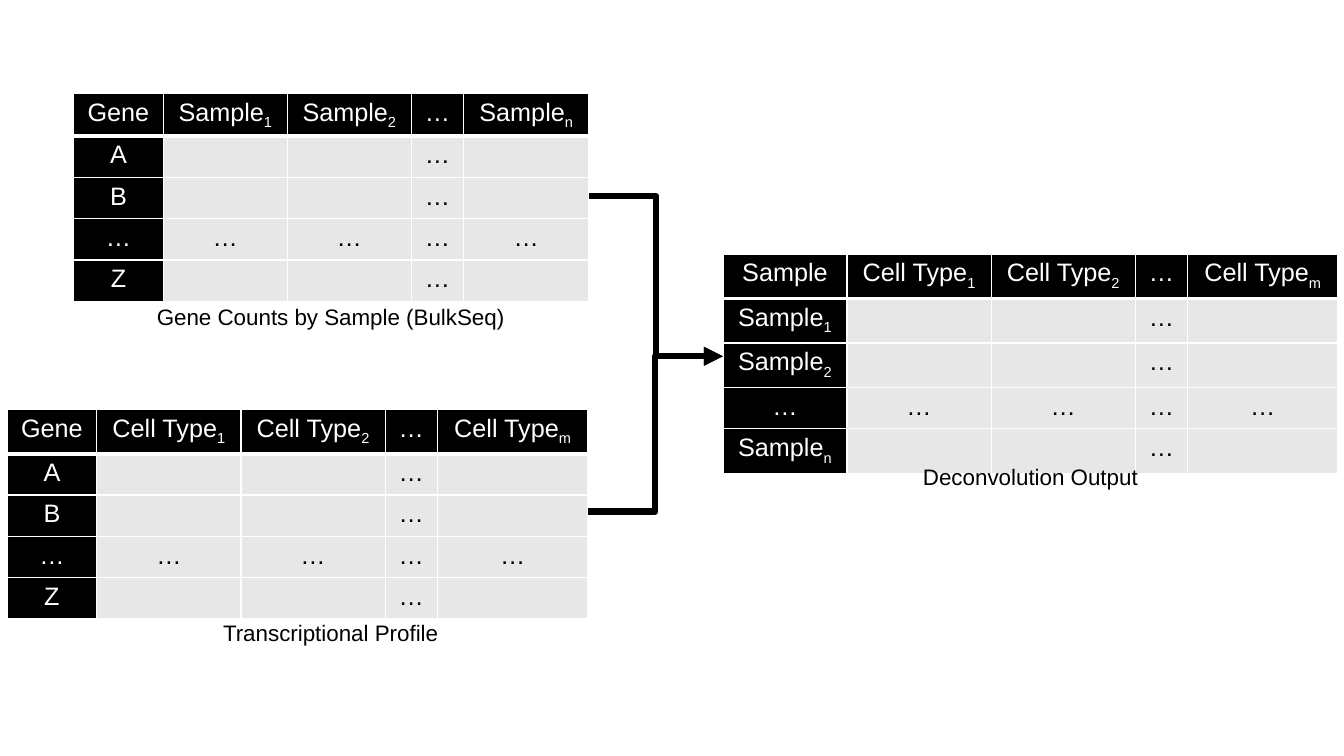
from dataclasses import dataclass

from lxml import etree
from pptx import Presentation
from pptx import util as u
from pptx.dml.color import RGBColor
from pptx.enum import shapes, text
from pptx.oxml import ns


@dataclass(frozen=True)
class Theme:
    font: str = "Arial"
    black: RGBColor = RGBColor(0x00, 0x00, 0x00)
    white: RGBColor = RGBColor(0xFF, 0xFF, 0xFF)
    grey: RGBColor = RGBColor(0xE7, 0xE7, 0xE7)
    cell_size: u.Pt = u.Pt(18)
    caption_size: u.Pt = u.Pt(16)
    arrow_width: u.Pt = u.Pt(4.5)


@dataclass(frozen=True)
class Box:
    left: float
    top: float
    width: float
    height: float

    @property
    def middle(self):
        return self.top + self.height / 2


THEME = Theme()
DOTS = "…"
ROW_HEIGHT = 0.41
MATRIX_HEIGHT = 2.03
CAPTION_HEIGHT = 0.37
GENES = ["A", "B", DOTS, "Z"]


def indexed(name, last):
    return [f"{name}_1", f"{name}_2", DOTS, f"{name}_{last}"]


def write(paragraph, label, size, color):
    paragraph.alignment = text.PP_ALIGN.CENTER
    paragraph.font.name = THEME.font
    paragraph.font.size = size
    name, _, index = label.partition("_")
    for part in filter(None, (name, index)):
        run = paragraph.add_run()
        run.text = part
        run.font.color.rgb = color
    if index:
        run.font._element.set("baseline", "-25000")


def add_header_borders(cell):
    properties = cell._tc.get_or_add_tcPr()
    for position, (side, points) in enumerate(
        [("lnL", 1), ("lnR", 1), ("lnT", 1), ("lnB", 3)]
    ):
        border = etree.Element(ns.qn(f"a:{side}"), w=str(u.Pt(points)))
        fill = etree.SubElement(border, ns.qn("a:solidFill"))
        etree.SubElement(fill, ns.qn("a:srgbClr"), val=str(THEME.white))
        properties.insert(position, border)


def add_matrix(slide, left, top, widths, corner, columns, rows, caption, caption_width):
    box = Box(left, top, sum(widths), MATRIX_HEIGHT)
    matrix = slide.shapes.add_table(
        len(rows) + 1, len(widths),
        *map(u.Inches, (box.left, box.top, box.width, box.height)),
    ).table
    matrix.first_row = False
    matrix.horz_banding = False
    for column, width in zip(matrix.columns, widths):
        column.width = u.Inches(width)

    body = [
        [name] + [DOTS if DOTS in (name, column) else "" for column in columns]
        for name in rows
    ]
    for r, labels in enumerate([[corner] + columns] + body):
        matrix.rows[r].height = u.Inches(ROW_HEIGHT)
        for c, label in enumerate(labels):
            cell = matrix.cell(r, c)
            heading = r == 0 or c == 0
            cell.fill.solid()
            cell.fill.fore_color.rgb = THEME.black if heading else THEME.grey
            color = THEME.white if heading else THEME.black
            write(cell.text_frame.paragraphs[0], label, THEME.cell_size, color)
            if r == 0:
                add_header_borders(cell)

    add_caption(slide, box, caption, caption_width)
    return box


def add_caption(slide, box, caption, width):
    left = box.left + (box.width - width) / 2
    if box.left < 1:
        left = CAPTION_CENTER - width / 2
    frame = slide.shapes.add_textbox(
        *map(u.Inches, (left, box.top + box.height, width, CAPTION_HEIGHT))
    ).text_frame
    frame.word_wrap = False
    frame.auto_size = text.MSO_AUTO_SIZE.SHAPE_TO_FIT_TEXT
    write(frame.paragraphs[0], caption, THEME.caption_size, THEME.black)


CAPTION_CENTER = 3.28


def add_arrow(slide, source, target):
    arrow = slide.shapes.add_connector(
        shapes.MSO_CONNECTOR.ELBOW,
        *map(u.Inches, (source.left + source.width, source.middle,
                        target.left, target.middle)),
    )
    arrow.line.color.rgb = THEME.black
    arrow.line.width = THEME.arrow_width
    etree.SubElement(arrow.line._get_or_add_ln(), ns.qn("a:tailEnd"), type="triangle")
    etree.SubElement(arrow._element.spPr, ns.qn("a:effectLst"))


def build_deconvolution(slide):
    samples = indexed("Sample", "n")
    cell_types = indexed("Cell Type", "m")
    type_widths = [1.43, 1.43, 0.52, 1.49]
    counts = add_matrix(
        slide, 0.73, 0.93, [0.89, 1.23, 1.23, 0.52, 1.24],
        "Gene", samples, GENES, "Gene Counts by Sample (BulkSeq)", 3.69,
    )
    profile = add_matrix(
        slide, 0.07, 4.06, [0.89] + type_widths,
        "Gene", cell_types, GENES, "Transcriptional Profile", 2.36,
    )
    output = add_matrix(
        slide, 7.17, 2.52, [1.23] + type_widths,
        "Sample", cell_types, samples, "Deconvolution Output", 2.36,
    )
    for source in (counts, profile):
        add_arrow(slide, source, output)


def main():
    deck = Presentation()
    deck.slide_width = u.Inches(13.33)
    deck.slide_height = u.Inches(7.5)
    build_deconvolution(deck.slides.add_slide(deck.slide_layouts[6]))
    deck.save("out.pptx")


if __name__ == "__main__":
    main()
